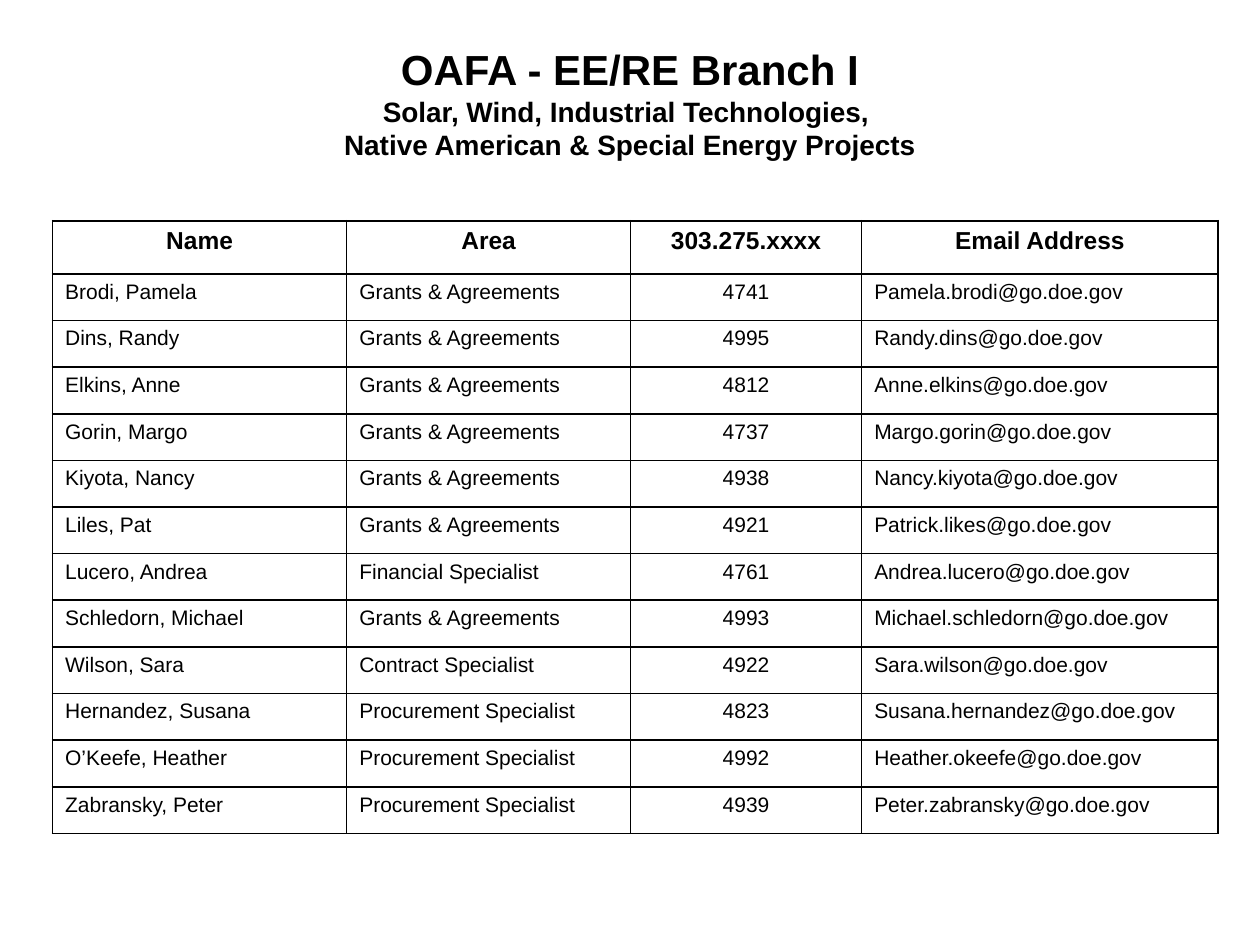
from lxml.etree import SubElement
from pptx import Presentation
from pptx.dml.color import RGBColor
from pptx.enum.text import MSO_ANCHOR, PP_ALIGN
from pptx.oxml.ns import qn
from pptx.util import Cm, Pt

BLACK = RGBColor(0x00, 0x00, 0x00)
THICK, THIN = Pt(1.08), Pt(0.45)

COLUMN_WIDTHS = [5.93, 5.72, 4.66, 7.19]
HEADER_HEIGHT, ROW_HEIGHT = 1.07, 0.94
PHONE_COLUMN = 2

TITLE = [
    ("OAFA - EE/RE Branch I", 24),
    ("Solar, Wind, Industrial Technologies, ", 16),
    ("Native American & Special Energy Projects", 16),
]
HEADERS = ["Name", "Area", "303.275.xxxx", "Email Address"]
GRANTS = "Grants & Agreements"
PROCUREMENT = "Procurement Specialist"
STAFF = [
    ("Brodi, Pamela", GRANTS, "4741", "Pamela.brodi@go.doe.gov"),
    ("Dins, Randy", GRANTS, "4995", "Randy.dins@go.doe.gov"),
    ("Elkins, Anne", GRANTS, "4812", "Anne.elkins@go.doe.gov"),
    ("Gorin, Margo", GRANTS, "4737", "Margo.gorin@go.doe.gov"),
    ("Kiyota, Nancy", GRANTS, "4938", "Nancy.kiyota@go.doe.gov"),
    ("Liles, Pat", GRANTS, "4921", "Patrick.likes@go.doe.gov"),
    ("Lucero, Andrea", "Financial Specialist", "4761", "Andrea.lucero@go.doe.gov"),
    ("Schledorn, Michael", GRANTS, "4993", "Michael.schledorn@go.doe.gov"),
    ("Wilson, Sara", "Contract Specialist", "4922", "Sara.wilson@go.doe.gov"),
    ("Hernandez, Susana", PROCUREMENT, "4823", "Susana.hernandez@go.doe.gov"),
    ("O’Keefe, Heather", PROCUREMENT, "4992", "Heather.okeefe@go.doe.gov"),
    ("Zabransky, Peter", PROCUREMENT, "4939", "Peter.zabransky@go.doe.gov"),
]


def write(p, text, *, font, size, color=BLACK, bold=False, align=PP_ALIGN.LEFT):
    p.alignment = align
    r = p.add_run()
    r.text = text
    r.font.name = font
    r.font.size = Pt(size)
    r.font.bold = bold
    r.font.color.rgb = color


def set_borders(cell, **widths):
    """Draw solid borders; keys are the table cell line tags."""
    tc_pr = cell._tc.get_or_add_tcPr()
    for tag, width in widths.items():
        ln = SubElement(tc_pr, qn(f"a:{tag}"), w=str(width))
        fill = SubElement(ln, qn("a:solidFill"))
        SubElement(fill, qn("a:srgbClr"), val=str(BLACK))


class SlideBuilder:
    def __init__(self, s, font="Arial"):
        self.s = s
        self.font = font

    def title(self, lines, left, top, width, height):
        tf = self.s.shapes.add_textbox(Cm(left), Cm(top), Cm(width), Cm(height)).text_frame
        tf.word_wrap = True
        tf.vertical_anchor = MSO_ANCHOR.TOP
        for i, (text, size) in enumerate(lines):
            p = tf.add_paragraph() if i else tf.paragraphs[0]
            write(p, text, font=self.font, size=size, bold=True, align=PP_ALIGN.CENTER)

    def table(self, rows, left, top):
        heights = [HEADER_HEIGHT] + [ROW_HEIGHT] * (len(rows) - 1)
        table = self.s.shapes.add_table(
            len(rows), len(COLUMN_WIDTHS), Cm(left), Cm(top),
            Cm(sum(COLUMN_WIDTHS)), Cm(sum(heights)),
        ).table
        table.first_row = table.horz_banding = False
        for column, width in zip(table.columns, COLUMN_WIDTHS):
            column.width = Cm(width)
        for row, height in zip(table.rows, heights):
            row.height = Cm(height)
        for i, values in enumerate(rows):
            for j, text in enumerate(values):
                self.cell(table.cell(i, j), text, j, header=i == 0)

    def cell(self, cell, text, column, header):
        last = len(COLUMN_WIDTHS) - 1
        set_borders(
            cell,
            lnL=THICK if column == 0 else THIN,
            lnR=THICK if column == last else THIN,
            lnT=THICK,
            lnB=THICK,
        )
        cell.fill.background()
        centred = header or column == PHONE_COLUMN
        write(
            cell.text_frame.paragraphs[0], text, font=self.font,
            size=14 if header else 12, bold=header,
            align=PP_ALIGN.CENTER if centred else PP_ALIGN.LEFT,
        )


def main():
    prs = Presentation()
    prs.slide_width, prs.slide_height = Cm(25.4), Cm(19.05)
    builder = SlideBuilder(prs.slides.add_slide(prs.slide_layouts[6]))
    builder.title(TITLE, 1.27, 0.76, 22.86, 3.18)
    builder.table([HEADERS, *STAFF], 1.06, 4.45)
    prs.save("out.pptx")


if __name__ == "__main__":
    main()
